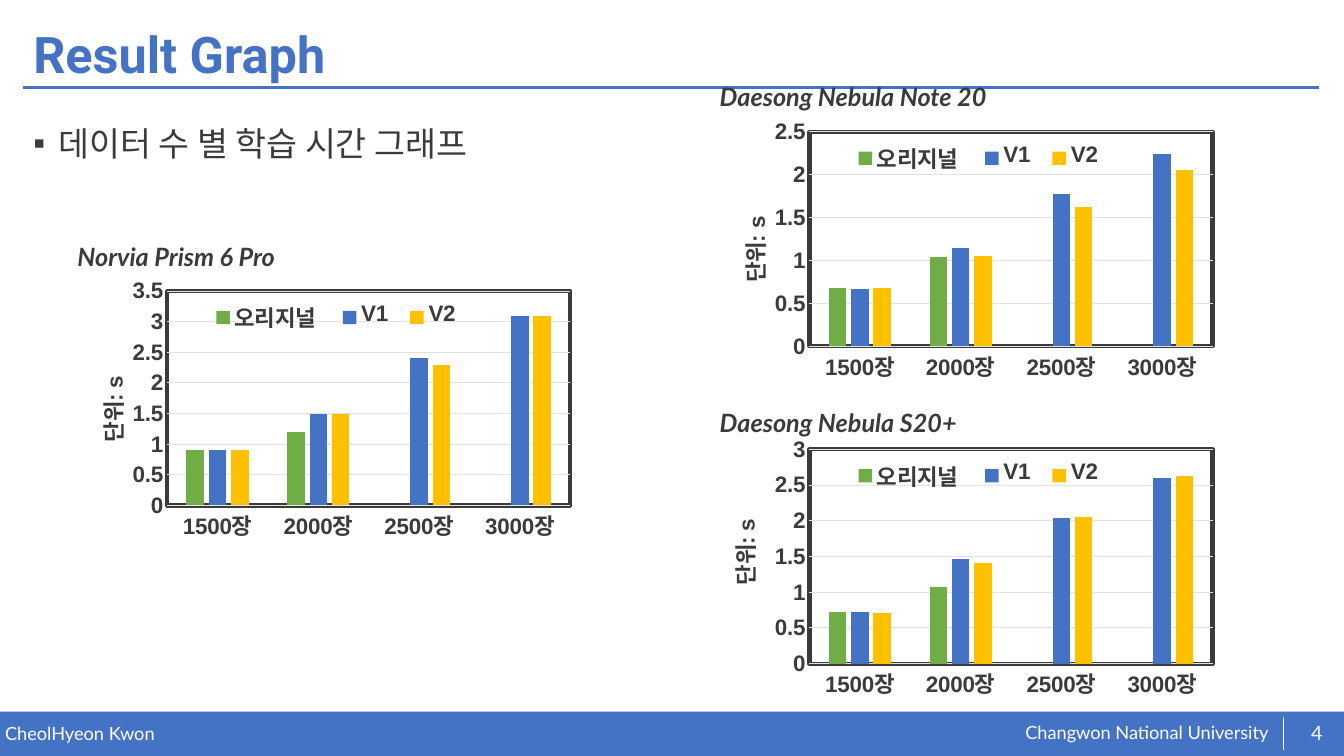
from lxml.etree import SubElement
from pptx import Presentation
from pptx.chart.data import CategoryChartData
from pptx.dml.color import RGBColor
from pptx.enum.chart import XL_CHART_TYPE, XL_LEGEND_POSITION, XL_TICK_MARK
from pptx.enum.shapes import MSO_CONNECTOR, MSO_SHAPE
from pptx.enum.text import MSO_ANCHOR, PP_ALIGN
from pptx.oxml import parse_xml
from pptx.oxml.ns import nsdecls, qn
from pptx.util import Inches, Pt

WIDTH, HEIGHT = 13.33, 7.5
BLUE, GREEN, YELLOW = "4472C4", "70AD47", "FFC000"
DARK, GRID, WHITE = "3B3B3B", "E2E2E2", "FFFFFF"

TITLE = "Result Graph"
BULLET = "데이터 수 별 학습 시간 그래프"
AUTHOR, SCHOOL, PAGE = "CheolHyeon Kwon", "Changwon National University", "4"
UNIT = "단위: s"
CATEGORIES = ["1500장", "2000장", "2500장", "3000장"]
SERIES = [("오리지널 ", GREEN), ("V1", BLUE), ("V2", YELLOW)]
LEFT_COLUMN, RIGHT_COLUMN = 0.67, 7.04
CHART_WIDTH, CHART_HEIGHT = 5.12, 2.76
CAPTION_WIDTH, CAPTION_HEIGHT = 3.13, 0.4
PLOT_BOX = (0.193, 0.05, 0.781, 0.771)
LEGEND_BOX = (0.26, 0.08, 0.52, 0.13)
CHARTS = [
    {"caption": "Norvia Prism 6 Pro", "left": LEFT_COLUMN, "caption_top": 2.34,
     "top": 2.75, "maximum": 3.5, "unit_at": (0.045, 0.34),
     "values": [(0.9, 1.2, None, None), (0.9, 1.5, 2.4, 3.1), (0.9, 1.5, 2.3, 3.1)]},
    {"caption": "Daesong Nebula Note 20", "left": RIGHT_COLUMN, "caption_top": 0.76,
     "top": 1.17, "maximum": 2.5, "unit_at": (0.045, 0.34),
     "values": [(0.68, 1.04, None, None), (0.67, 1.15, 1.78, 2.24),
                (0.68, 1.05, 1.62, 2.05)]},
    {"caption": "Daesong Nebula S20+", "left": RIGHT_COLUMN, "caption_top": 3.99,
     "top": 4.32, "maximum": 3, "unit_at": (0.025, 0.285),
     "values": [(0.72, 1.07, None, None), (0.72, 1.47, 2.04, 2.6),
                (0.71, 1.41, 2.05, 2.63)]},
]


def color(value):
    return RGBColor.from_string(value)


def style(font, size, name, value, bold=False, italic=False):
    font.size, font.name, font.bold, font.italic = Pt(size), name, bold, italic
    font.color.rgb = color(value)


def place(shape, left, top, width, height):
    shape.left, shape.top = Inches(left), Inches(top)
    shape.width, shape.height = Inches(width), Inches(height)


def add_text(slide, text, box, size, value, inset=True, emphasis=False):
    shape = slide.shapes.add_textbox(*map(Inches, box))
    frame = shape.text_frame
    frame.word_wrap = True
    if not inset:
        frame.margin_left = frame.margin_right = 0
        frame.margin_top = frame.margin_bottom = 0
    frame.text = text
    style(frame.paragraphs[0].runs[0].font, size, "Lato", value, emphasis, emphasis)
    return frame


def add_line(slide, start, end, value, width):
    line = slide.shapes.add_connector(MSO_CONNECTOR.STRAIGHT, *map(Inches, start + end))
    line.line.color.rgb = color(value)
    line.line.width = Pt(width)
    SubElement(line._element.spPr, qn("a:effectLst"))


def layout_xml(box, inner=False):
    target = '<c:layoutTarget val="inner"/>' if inner else ""
    modes = '<c:xMode val="edge"/><c:yMode val="edge"/>'
    sizes = "".join(f'<c:{tag} val="{share}"/>' for tag, share in zip("xywh", box))
    return parse_xml(f'<c:layout {nsdecls("c")}><c:manualLayout>{target}{modes}{sizes}'
                     "</c:manualLayout></c:layout>")


def set_layout(element, box, after=None, inner=False):
    for old in element.findall(qn("c:layout")):
        element.remove(old)
    if after is None:
        element.insert(0, layout_xml(box, inner))
    else:
        element.find(qn(after)).addnext(layout_xml(box, inner))


def add_bar_chart(slide, item):
    data = CategoryChartData()
    data.categories = CATEGORIES
    for (name, _), values in zip(SERIES, item["values"]):
        data.add_series(name, values)
    box = (item["left"], item["top"], CHART_WIDTH, CHART_HEIGHT)
    chart = slide.shapes.add_chart(
        XL_CHART_TYPE.COLUMN_CLUSTERED, *map(Inches, box), data).chart
    style(chart.font, 16, "Arial", DARK, True)
    chart.has_title = False

    plot = chart.plots[0]
    plot.gap_width, plot.overlap, plot.vary_by_categories = 219, -27, False
    for series, (_, value) in zip(plot.series, SERIES):
        series.format.fill.solid()
        series.format.fill.fore_color.rgb = color(value)

    for axis in (chart.category_axis, chart.value_axis):
        axis.major_tick_mark = axis.minor_tick_mark = XL_TICK_MARK.NONE
        axis.format.line.fill.background()
        style(axis.tick_labels.font, 16, "Arial", DARK, True)
    axis = chart.value_axis
    axis.minimum_scale, axis.maximum_scale, axis.major_unit = 0, item["maximum"], 0.5
    axis.major_gridlines.format.line.color.rgb = color(GRID)
    axis.major_gridlines.format.line.width = Pt(0.75)
    title = axis.axis_title
    title.text_frame.text = UNIT
    style(title.text_frame.paragraphs[0].runs[0].font, 16, "Arial", DARK, True)
    body = title._element.find(qn("c:tx")).find(qn("c:rich")).find(qn("a:bodyPr"))
    body.set("rot", "-5400000")
    body.set("vert", "horz")
    set_layout(title._element, item["unit_at"], "c:tx")

    chart.has_legend = True
    chart.legend.position = XL_LEGEND_POSITION.TOP
    chart.legend.include_in_layout = True
    style(chart.legend.font, 16, "Arial", DARK, True)
    set_layout(chart.legend._element, LEGEND_BOX, "c:legendPos")

    area = plot._element.getparent()
    set_layout(area, PLOT_BOX, inner=True)
    area.append(parse_xml(
        f'<c:spPr {nsdecls("c", "a")}><a:noFill/><a:ln w="{Pt(3)}"><a:solidFill>'
        f'<a:srgbClr val="{DARK}"/></a:solidFill></a:ln></c:spPr>'))


def add_frame(slide):
    bar = slide.shapes.add_shape(
        MSO_SHAPE.RECTANGLE, *map(Inches, (0, 7.06, WIDTH, HEIGHT - 7.06)))
    bar.shadow.inherit = False
    bar.fill.solid()
    bar.fill.fore_color.rgb = color(BLUE)
    bar.line.fill.background()
    add_text(slide, SCHOOL, (10.17, 7.16, 2.67, 0.23), 13, WHITE, inset=False)
    add_text(slide, AUTHOR, (0.05, 7.17, 6.55, 0.22), 13, WHITE, inset=False)
    add_line(slide, (0.23, 0.87), (13.08, 0.87), BLUE, 2)
    add_line(slide, (12.73, 7.11), (12.73, 7.44), WHITE, 0.5)
    page = add_text(slide, PAGE, (12.82, 7.07, 0.48, 0.4), 14, WHITE, inset=False)
    page.vertical_anchor = MSO_ANCHOR.MIDDLE
    page.paragraphs[0].alignment = PP_ALIGN.CENTER


def fill_placeholders(slide):
    title, body = slide.shapes.title, slide.placeholders[1]
    place(title, 0.23, 0.18, 12.86, 0.77)
    title.text_frame.text = TITLE
    title.text_frame.vertical_anchor = MSO_ANCHOR.MIDDLE
    heading = title.text_frame.paragraphs[0]
    heading.alignment, heading.line_spacing = PP_ALIGN.LEFT, 0.9
    style(heading.runs[0].font, 36, "Roboto", BLUE, True)

    place(body, 0.23, 1.01, 12.86, 5.63)
    body.text_frame.text = BULLET
    paragraph = body.text_frame.paragraphs[0]
    paragraph.line_spacing, paragraph.space_before = 1.4, Pt(10)
    style(paragraph.runs[0].font, 24, "Lato", DARK)
    properties = paragraph._p.get_or_add_pPr()
    properties.set("marL", str(Inches(0.25)))
    properties.set("indent", str(Inches(-0.25)))
    SubElement(properties, qn("a:buChar")).set("char", "▪")


def main():
    """Build the result graph slide and save it."""
    presentation = Presentation()
    presentation.slide_width, presentation.slide_height = Inches(WIDTH), Inches(HEIGHT)
    slide = presentation.slides.add_slide(presentation.slide_layouts[1])
    fill_placeholders(slide)
    add_frame(slide)
    for item in CHARTS:
        add_bar_chart(slide, item)
        box = (item["left"], item["caption_top"], CAPTION_WIDTH, CAPTION_HEIGHT)
        add_text(slide, item["caption"], box, 18, DARK, emphasis=True)
    presentation.save("out.pptx")


if __name__ == "__main__":
    main()
